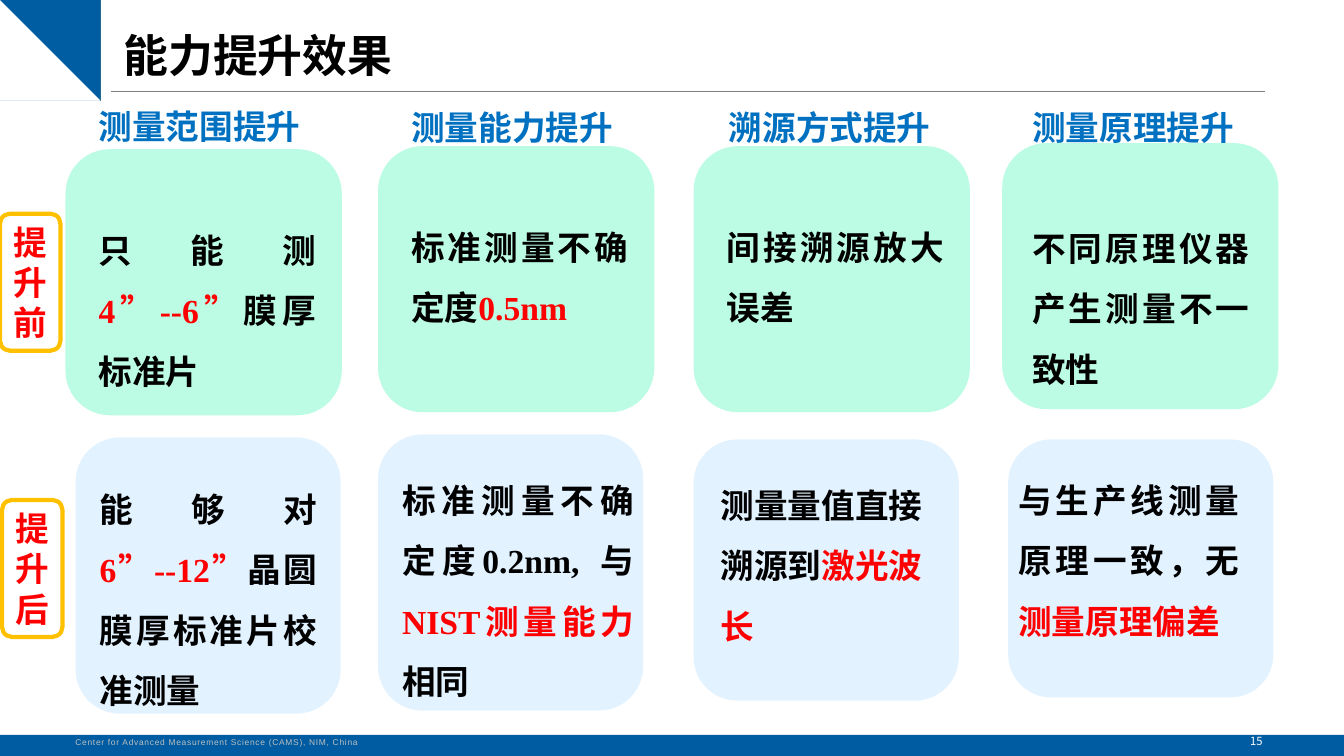
from lxml import etree
from pptx import Presentation
from pptx.dml.color import RGBColor
from pptx.enum.shapes import MSO_CONNECTOR, MSO_SHAPE
from pptx.enum.text import MSO_ANCHOR, PP_ALIGN
from pptx.oxml.ns import qn
from pptx.util import Inches, Pt

ROUNDED, RECTANGLE = MSO_SHAPE.ROUNDED_RECTANGLE, MSO_SHAPE.RECTANGLE
STRAIGHT = MSO_CONNECTOR.STRAIGHT
LEFT, CENTER, JUSTIFY = PP_ALIGN.LEFT, PP_ALIGN.CENTER, PP_ALIGN.JUSTIFY
MIDDLE = MSO_ANCHOR.MIDDLE
SANS, SERIF = "Noto Sans CJK SC", "Times New Roman"
BLACK, RED, BLUE = "000000", "FF0000", "0070C0"
GREEN, PALE_BLUE, AMBER = "BCFCE4", "B9E1FF", "FFC000"

COLUMNS = [
    {
        "header": ("测量范围提升", (0.88, 0.6, 2.22, 0.79)),
        "before": ((0.65, 1.48, 2.74, 2.64), (0.88, 2.03, 2.35, 1.24), JUSTIFY,
                   [("只能测", SANS, BLACK), ("4”--6”", SERIF, RED),
                    ("膜厚标准片", SANS, BLACK)]),
        "after": ((0.75, 4.34, 2.63, 2.74), (0.89, 4.6, 2.35, 1.85), JUSTIFY,
                  [("能够对", SANS, BLACK), ("6”--12”", SERIF, RED),
                   ("晶圆膜厚标准片校准测量", SANS, BLACK)]),
    },
    {
        "header": ("测量能力提升", (3.98, 0.61, 2.22, 0.79)),
        "before": ((3.75, 1.45, 2.74, 2.64), (3.98, 2, 2.35, 1.24), JUSTIFY,
                   [("标准测量不确定度", SERIF, BLACK), ("0.5nm", SERIF, RED)]),
        "after": ((3.75, 4.31, 2.63, 2.74), (3.89, 4.51, 2.5, 2.45), JUSTIFY,
                  [("标准测量不确定度", SANS, BLACK), ("0.2nm, 与", SERIF, BLACK),
                   ("NIST测量", SERIF, RED), ("能力", SANS, RED),
                   ("相同", SANS, BLACK)]),
    },
    {
        "header": ("溯源方式提升", (7.13, 0.61, 2.22, 0.79)),
        "before": ((6.88, 1.45, 2.74, 2.64), (7.11, 2, 2.35, 1.24), JUSTIFY,
                   [("间接溯源放大误差", SERIF, BLACK)]),
        "after": ((6.88, 4.36, 2.63, 2.59), (7.05, 4.56, 2.29, 1.85), LEFT,
                  [("测量量值直接溯源到", SANS, BLACK), ("激光波长", SANS, RED)]),
    },
    {
        "header": ("测量原理提升", (10.14, 0.61, 2.22, 0.79)),
        "before": ((9.94, 1.42, 2.74, 2.64), (10.14, 2.01, 2.35, 1.85), JUSTIFY,
                   [("不同原理仪器产生测量不一致性", SERIF, BLACK)]),
        "after": ((10, 4.36, 2.63, 2.56), (10, 4.51, 2.39, 1.85), JUSTIFY,
                  [("与生产线测量原理一致，无", SANS, BLACK),
                   ("测量原理偏差", SANS, RED)]),
    },
]


def color(value):
    """Turn a hex string into a colour."""
    return RGBColor.from_string(value)


def lengths(box):
    """Turn a box in inches into slide lengths."""
    return [Inches(value) for value in box]


def write_paragraph(paragraph, runs, size, align=LEFT, spacing=None, bold=True, tracking=None):
    """Write (text, font, colour) runs into a paragraph."""
    paragraph.alignment = align
    if spacing:
        paragraph.line_spacing = Pt(spacing)
    for text, font_name, text_color in runs:
        run = paragraph.add_run()
        run.text = text
        for name, value in {"size": Pt(size), "bold": bold, "name": font_name}.items():
            setattr(run.font, name, value)
        run.font.color.rgb = color(text_color)
        properties = run._r.get_or_add_rPr()
        properties.set("lang", "zh-CN")
        etree.SubElement(properties, qn("a:ea")).set("typeface", SANS)
        if tracking:
            properties.set("spc", str(tracking))


def add_text(slide, box, runs, size, wrap=True, **options):
    """Add a text box holding one paragraph."""
    frame = slide.shapes.add_textbox(*lengths(box)).text_frame
    frame.word_wrap = wrap
    write_paragraph(frame.paragraphs[0], runs, size, **options)


def add_panel(slide, box, kind, fill=None, line=None, opacity=None):
    """Add a preset shape with an optional fill, outline and opacity."""
    shape = slide.shapes.add_shape(kind, *lengths(box))
    shape.shadow.inherit = False
    if fill:
        shape.fill.solid()
        shape.fill.fore_color.rgb = color(fill)
    else:
        shape.fill.background()
    if opacity:
        fill_color = shape._element.spPr.find(qn("a:solidFill"))[0]
        etree.SubElement(fill_color, qn("a:alpha")).set("val", str(opacity * 1000))
    if line:
        shape.line.color.rgb = color(line)
        shape.line.width = Pt(3)
    else:
        shape.line.fill.background()
    return shape


def add_chevron(slide, left, top, fill):
    """Add one chevron of the title mark."""
    outline = [(0, 0.04), (0.05, 0), (0.2, 0.15), (0.05, 0.3), (0, 0.25), (0.11, 0.15)]
    points = [(left + x, top + y) for x, y in outline]
    builder = slide.shapes.build_freeform(*points[0], scale=Inches(1))
    builder.add_line_segments(points[1:], close=True)
    shape = builder.convert_to_shape()
    shape.shadow.inherit = False
    shape.fill.solid()
    shape.fill.fore_color.rgb = color(fill)
    shape.line.fill.background()


def add_title(slide, box):
    """Add the title with its chevrons and rule."""
    left, top, _, _ = box
    rule = slide.shapes.add_connector(
        STRAIGHT, *lengths((left + 0.36, top + 0.68, left + 11.81, top + 0.68)))
    rule.line.color.rgb = color("808080")
    rule.line.width = Pt(0.75)
    etree.SubElement(rule._element.spPr, qn("a:effectLst"))
    for index, fill in enumerate(("005DA2", "3992DB", "F79600")):
        add_chevron(slide, left - 0.27 + index * 0.19, top + 0.2, fill)
    add_text(slide, box, [("能力提升效果", SANS, BLACK)], 32, align=CENTER, spacing=38.4)


def add_footer(slide, box):
    """Add the footer band with the institute and page number."""
    left, top, _, _ = box
    add_panel(slide, box, RECTANGLE, "005CA2")
    add_text(slide, (left + 0.65, top - 0.03, 3.04, 0.2),
             [("Center for Advanced Measurement Science (CAMS), NIM, China", "Arial", "BFBFBF")],
             6, wrap=False, bold=False, tracking=50)
    add_text(slide, (left + 11.97, top - 0.05, 0.98, 0.24), [("15", SANS, "FFFFFF")],
             8, align=CENTER, spacing=9.6, bold=False)


def add_card(slide, box, text_box, align, runs, fill, opacity=None):
    """Add a rounded card and the text over it."""
    add_panel(slide, box, ROUNDED, fill, opacity=opacity)
    add_text(slide, text_box, runs, 24, align=align, spacing=43.2)


def add_column(slide, column):
    """Add one aspect with its header and its cards before and after."""
    add_card(slide, *column["before"], GREEN)
    add_card(slide, *column["after"], PALE_BLUE, 41)
    text, box = column["header"]
    add_text(slide, box, [(text, SANS, BLUE)], 24, wrap=False, spacing=57.6)


def add_row_label(slide, box, lines):
    """Add an outlined label at the left of a row."""
    frame = add_panel(slide, box, ROUNDED, line=AMBER).text_frame
    frame.word_wrap = True
    frame.vertical_anchor = MIDDLE
    for index, text in enumerate(lines):
        paragraph = frame.add_paragraph() if index else frame.paragraphs[0]
        write_paragraph(paragraph, [(text, SANS, RED)], 24, align=CENTER, spacing=28.8)


def main():
    """Build and save the slide."""
    presentation = Presentation()
    presentation.slide_width = Inches(13.33)
    presentation.slide_height = Inches(7.5)
    slide = presentation.slides.add_slide(presentation.slide_layouts[6])
    add_title(slide, (0.74, 0.23, 3.64, 0.77))
    add_footer(slide, (0, 7.29, 13.33, 0.21))
    for column in COLUMNS:
        add_column(slide, column)
    add_row_label(slide, (0, 2.12, 0.6, 1.36), ["提升前"])
    add_row_label(slide, (0.02, 4.96, 0.6, 1.36), ["提升", "后"])
    presentation.save("out.pptx")


if __name__ == "__main__":
    main()
